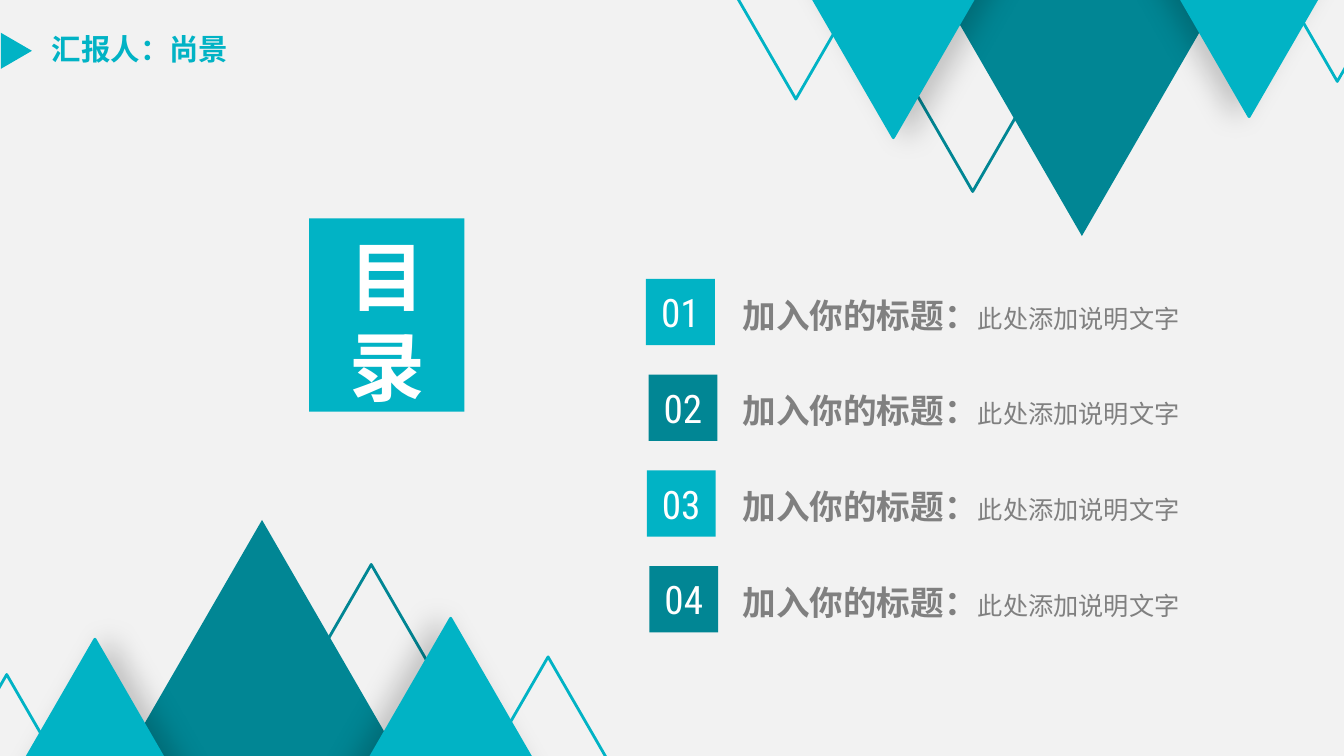
from math import sqrt
from lxml import etree
from pptx import Presentation
from pptx import util as u
from pptx.dml.color import RGBColor
from pptx.enum import shapes, text
from pptx.oxml import parse_xml
from pptx.oxml.ns import qn

COLS, ROWS = 16, 9
AQUA, TEAL, GREY, WHITE, PAPER = "01B3C5", "018694", "808080", "FFFFFF", "F2F2F2"
HAN, LATIN = "Noto Sans CJK SC", "Roboto Condensed"
KIND = shapes.MSO_SHAPE

# left, top, width, fill, line, shadow direction in degrees
PEAKS = [
    (-0.28, 6.19, 6.8, TEAL, None, None),
    (1.32, 6.72, 6.2, None, TEAL, None),
    (2.33, 7.36, 6.07, AQUA, AQUA, 180),
    (3.76, 7.82, 5.53, None, AQUA, None),
    (-1.62, 7.61, 5.5, AQUA, AQUA, 0),
    (-2.42, 8.03, 5, None, AQUA, None),
]
BADGES = [(7.69, AQUA), (7.72, TEAL), (7.7, AQUA), (7.73, TEAL)]
PITCH = 1.14


def rgb(code):
    return RGBColor.from_string(code)


class Deck:
    def __init__(self):
        self.prs = Presentation()
        self.prs.slide_width = u.Inches(13.33)
        self.prs.slide_height = u.Inches(7.5)
        self.slide = self.prs.slides.add_slide(self.prs.slide_layouts[1])
        back = self.slide.background.fill
        back.solid()
        back.fore_color.rgb = rgb(PAPER)

    def area(self, x, y, w, h):
        """Turn grid columns and rows into slide lengths."""
        col = self.prs.slide_width / COLS
        row = self.prs.slide_height / ROWS
        return [u.Emu(round(n)) for n in (x * col, y * row, w * col, h * row)]

    def shape(self, kind, box, fill=None, line=None):
        item = self.slide.shapes.add_shape(kind, *self.area(*box))
        item.shadow.inherit = False
        if fill:
            item.fill.solid()
            item.fill.fore_color.rgb = rgb(fill)
        else:
            item.fill.background()
        if line:
            item.line.color.rgb = rgb(line)
            item.line.width = u.Pt(2)
        else:
            item.line.fill.background()
        return item

    def shade(self, item, angle):
        """Cast a soft black shadow towards the angle."""
        main = "http://schemas.openxmlformats.org/drawingml/2006/main"
        item._element.spPr.find(qn("a:effectLst")).append(parse_xml(
            f'<a:outerShdw xmlns:a="{main}" blurRad="{u.Pt(20)}" '
            f'dist="{u.Pt(10)}" dir="{angle * 60000}" algn="ctr" '
            'rotWithShape="0"><a:srgbClr val="000000">'
            '<a:alpha val="20000"/></a:srgbClr></a:outerShdw>'))

    def peak(self, x, y, w, fill, line, angle, turned):
        """Draw an equilateral triangle, or its half-turn about the slide centre."""
        h = w * sqrt(3) / 2
        if turned:
            x, y = COLS - x - w, ROWS - y - h
        item = self.shape(KIND.ISOSCELES_TRIANGLE, (x, y, w, h), fill, line)
        if turned:
            item._element.spPr.xfrm.set("flipV", "1")
        if angle is not None:
            self.shade(item, (angle + 180 * turned) % 360)

    def frame(self, item, pads=(0, 0, 0, 0), wrap=True,
              anchor=text.MSO_ANCHOR.MIDDLE):
        body = item.text_frame
        body.auto_size = text.MSO_AUTO_SIZE.NONE
        body.word_wrap = wrap
        body.vertical_anchor = anchor
        (body.margin_left, body.margin_top,
         body.margin_right, body.margin_bottom) = map(u.Inches, pads)
        return body

    def style(self, par, size, color, face=HAN, bold=False,
              align=text.PP_ALIGN.LEFT):
        par.alignment = align
        font = par.font
        font.size, font.bold, font.name = u.Pt(size), bold, face
        font.color.rgb = rgb(color)
        etree.SubElement(font._rPr, qn("a:ea")).set("typeface", face)

    def label(self, box, words):
        item = self.slide.shapes.add_textbox(*self.area(*box))
        body = self.frame(item, (0.1, 0.05, 0.1, 0.05), wrap=False)
        body.text = words
        self.style(body.paragraphs[0], 21, AQUA, bold=True)

    def title(self, box, words):
        item = self.slide.shapes.title
        item.left, item.top, item.width, item.height = self.area(*box)
        item.fill.solid()
        item.fill.fore_color.rgb = rgb(AQUA)
        body = self.frame(item, (0.1, 0.12, 0.1, 0))
        body.text = words
        for par in body.paragraphs:
            par.line_spacing = u.Pt(64)
            self.style(par, 54, WHITE, bold=True, align=text.PP_ALIGN.CENTER)

    def list(self, box, rows):
        item = self.slide.placeholders[1]
        item.left, item.top, item.width, item.height = self.area(*box)
        body = self.frame(item, (0.1, 0, 0.1, 0), anchor=text.MSO_ANCHOR.TOP)
        for i, (head, note) in enumerate(rows):
            par = body.add_paragraph() if i else body.paragraphs[0]
            par.line_spacing = u.Pt(34)
            par.space_before = u.Pt(34.4 if i else 0)
            props = par._p.get_or_add_pPr()
            props.set("marL", "0")
            props.set("indent", "0")
            etree.SubElement(props, qn("a:buNone"))
            self.style(par, 24, GREY)
            for words, size, bold in ((head, 24, True), (note, 18, False)):
                run = par.add_run()
                run.text = words
                run.font.size, run.font.bold = u.Pt(size), bold

    def badge(self, box, words, fill):
        body = self.frame(self.shape(KIND.RECTANGLE, box, fill), wrap=False)
        body.text = words
        self.style(body.paragraphs[0], 28, WHITE, LATIN,
                   align=text.PP_ALIGN.CENTER)


def main():
    deck = Deck()
    for turned in (False, True):
        for peak in PEAKS:
            deck.peak(*peak, turned)
    deck.label((0.5, 0.31, 2.93, 0.54), "汇报人：尚景")
    marker = deck.shape(KIND.ISOSCELES_TRIANGLE, (-0.02, 0.42, 0.43, 0.37), AQUA)
    marker.rotation = 90
    deck.title((3.68, 2.6, 1.85, 2.3), "目\n录")
    deck.list((8.72, 3.42, 6.6, 4.2),
              [("加入你的标题：", "此处添加说明文字")] * len(BADGES))
    for i, (x, fill) in enumerate(BADGES):
        deck.badge((x, 3.32 + PITCH * i, 0.82, 0.79), f"{i + 1:02}", fill)
    deck.prs.save("out.pptx")


if __name__ == "__main__":
    main()
